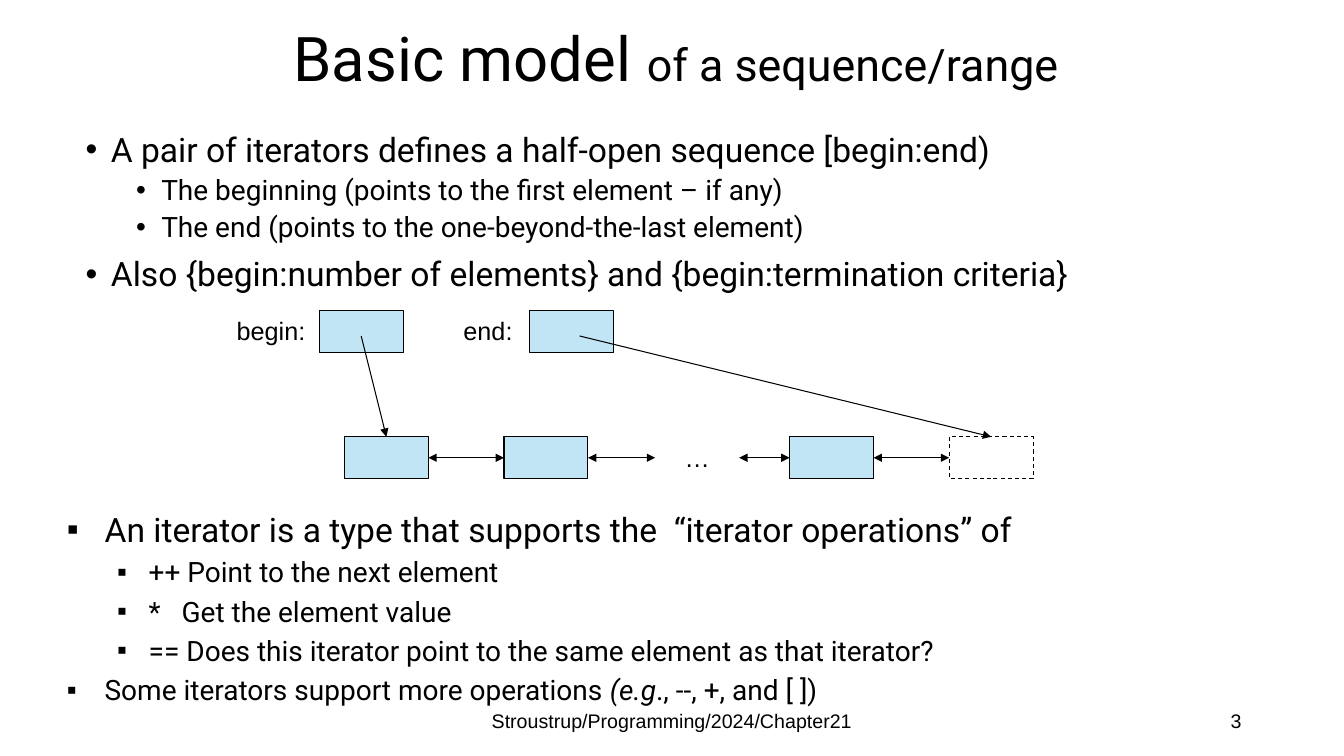
from lxml.etree import SubElement
from pptx import Presentation
from pptx.dml.color import RGBColor
from pptx.enum.dml import MSO_LINE
from pptx.enum.shapes import MSO_CONNECTOR, MSO_SHAPE
from pptx.enum.text import MSO_ANCHOR, MSO_AUTO_SIZE, PP_ALIGN
from pptx.oxml.ns import qn
from pptx.util import Pt

# Content: a list line is (level, size, [(text, italic), ...])
TITLE = [("Basic model ", 44), ("of a sequence/range", 32)]
MODEL = [
    (0, 24, [("A pair of iterators defines a half-open sequence [begin:end)", False)]),
    (1, 20, [("The beginning (points to the first element – if any)", False)]),
    (1, 20, [("The end (points to the one-beyond-the-last element)", False)]),
    (0, 24, [("Also {begin:number of elements} and {begin:termination criteria}", False)]),
]
ITER = [
    (0, 24, [("An iterator is a type that supports the  “iterator operations” of", False)]),
    (1, 20, [("++ Point to the next element", False)]),
    (1, 20, [("*   Get the element value", False)]),
    (1, 20, [("== Does this iterator point to the same element as that iterator?", False)]),
    (0, 20, [("Some iterators support more operations ", False), ("(e.g", True),
             ("., --, +, and [ ])", False)]),
]
COLOR = {"ink": "000000", "box": "C1E5F5"}

# Geometry in px, 96 to the inch
PX = 9525
BOX_W, BOX_H = 80, 40
TOP, ROW = 296, 416
# Sequence slots: (left, kind)
SLOTS = [(328, "box"), (480, "box"), (624, "dots"), (752, "box"), (904, "end")]
# Iterators: (label, label left, box left, arrow start x, arrow end x)
HEADS = [("begin:", 216, 304, 344, 368), ("end:", 432, 504, 552, 944)]
# Small texts: (text, left, width, alignment)
FOOT = [("Stroustrup/Programming/2024/Chapter21", 424, 432, PP_ALIGN.CENTER),
        ("3", 904, 288, PP_ALIGN.RIGHT)]

deck = Presentation()
deck.slide_width, deck.slide_height = 1280 * PX, 720 * PX
slide = deck.slides.add_slide(deck.slide_layouts[3])
shapes = slide.shapes


def ink(name):
    return RGBColor.from_string(COLOR[name])


def style(run, size, face="Roboto"):
    run.font.size = Pt(size)
    run.font.name = face
    run.font.color.rgb = ink("ink")


def place(shape, left, top, width, height):
    shape.left, shape.top = left * PX, top * PX
    shape.width, shape.height = width * PX, height * PX
    shape.text_frame.auto_size = MSO_AUTO_SIZE.NONE


def bullet(para, mark, left, hang):
    props = para._p.get_or_add_pPr()
    props.set("marL", str(left * PX))
    props.set("indent", str(-hang * PX))
    SubElement(props, qn("a:buFont")).set("typeface", "Arial")
    SubElement(props, qn("a:buChar")).set("char", mark)


def fill_list(frame, lines, mark, marks, gaps=None):
    frame.vertical_anchor = MSO_ANCHOR.TOP
    for i, (level, size, parts) in enumerate(lines):
        para = frame.add_paragraph() if i else frame.paragraphs[0]
        para.level = level
        if gaps:
            para.line_spacing = 0.9
            para.space_before = Pt(gaps[level])
        bullet(para, mark, *marks[level])
        for text, slant in parts:
            run = para.add_run()
            run.text = text
            run.font.italic = slant
            style(run, size)


def label(text, left, top, width, height, size, align, anchor, wrap=True):
    box = shapes.add_textbox(left * PX, top * PX, width * PX, height * PX)
    frame = box.text_frame
    frame.word_wrap = wrap
    frame.vertical_anchor = anchor
    frame.text = text
    frame.paragraphs[0].alignment = align
    style(frame.paragraphs[0].runs[0], size, "Arial")


def node(left, top, dashed=False):
    box = shapes.add_shape(MSO_SHAPE.RECTANGLE, left * PX, top * PX, BOX_W * PX, BOX_H * PX)
    box.shadow.inherit = False
    box.line.color.rgb = ink("ink")
    box.line.width = Pt(0.75)
    if dashed:
        box.fill.background()
        box.line.dash_style = MSO_LINE.DASH
    else:
        box.fill.solid()
        box.fill.fore_color.rgb = ink("box")


def arrow(x1, y1, x2, y2, ends):
    line = shapes.add_connector(MSO_CONNECTOR.STRAIGHT, x1 * PX, y1 * PX, x2 * PX, y2 * PX)
    line.line.color.rgb = ink("ink")
    line.line.width = Pt(0.75)
    for end in ends:
        SubElement(line.line._get_or_add_ln(), qn("a:" + end)).set("type", "triangle")
    SubElement(line._element.spPr, qn("a:effectLst"))


# Title
head = shapes.title
place(head, 92, 20, 1104, 78)
head.text_frame.vertical_anchor = MSO_ANCHOR.MIDDLE
para = head.text_frame.paragraphs[0]
para.alignment = PP_ALIGN.CENTER
para.line_spacing = 0.9
for text, size in TITLE:
    run = para.add_run()
    run.text = text
    style(run, size)

# Lists
upper, lower = slide.placeholders[1], slide.placeholders[2]
place(upper, 72, 122, 1006, 120)
fill_list(upper.text_frame, MODEL, "•", [(24, 24), (72, 24)], gaps=(10, 5))
place(lower, 54, 480, 1018, 208)
fill_list(lower.text_frame, ITER, "▪", [(36, 36), (78, 30)])

# Sequence row
for left, kind in SLOTS:
    if kind == "dots":
        label("…", left, ROW, BOX_W, BOX_H, 18, PP_ALIGN.CENTER, MSO_ANCHOR.MIDDLE, False)
    else:
        node(left, ROW, kind == "end")
mid = ROW + BOX_H // 2
for (left, _), (right, _) in zip(SLOTS, SLOTS[1:]):
    arrow(left + BOX_W, mid, right, mid, ["headEnd", "tailEnd"])

# Iterators pointing into the row
for text, left, box, start, end in HEADS:
    label(text, left, TOP, 104, 38, 18, PP_ALIGN.LEFT, MSO_ANCHOR.TOP)
    node(box, TOP)
    arrow(start, 320, end, ROW, ["tailEnd"])

# Footer and slide number
for text, left, width, align in FOOT:
    label(text, left, 667, width, 38, 14, align, MSO_ANCHOR.MIDDLE)

deck.save("out.pptx")
